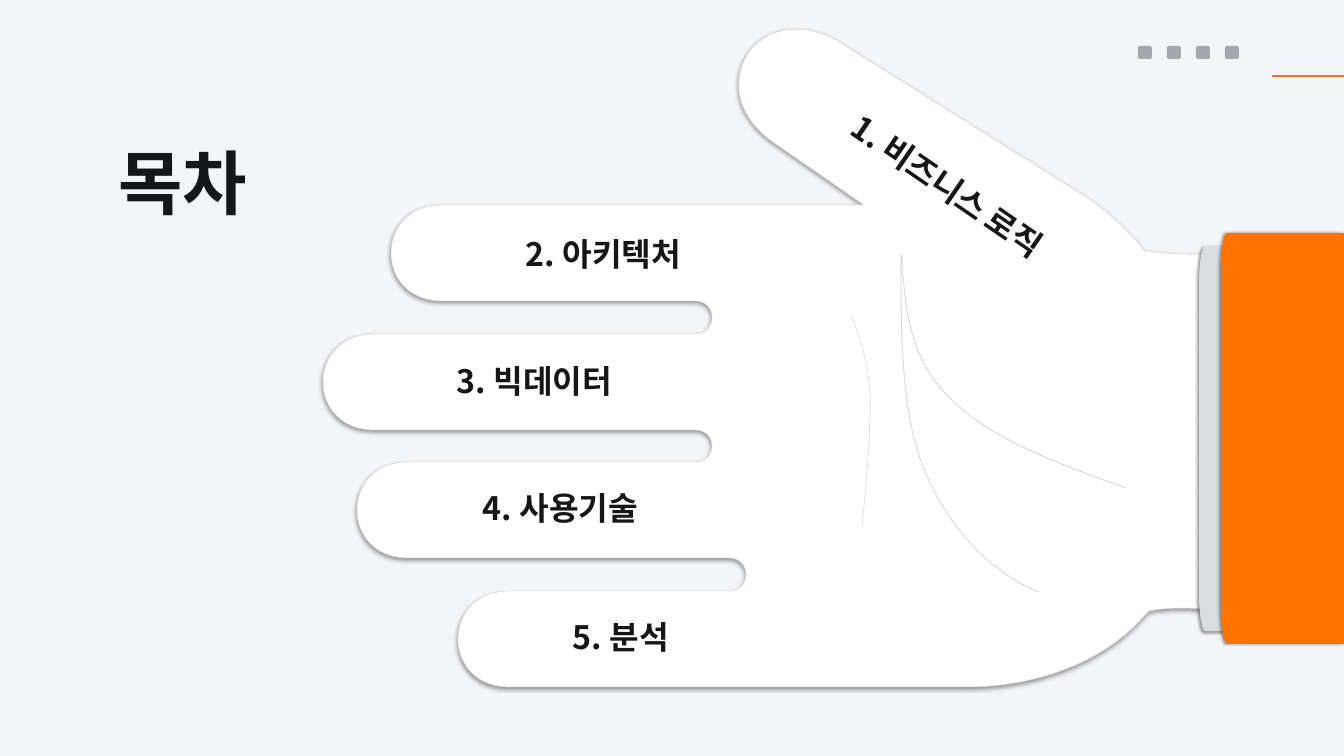
from lxml import etree
from pptx import Presentation
from pptx.dml.color import RGBColor
from pptx.enum.shapes import MSO_CONNECTOR, MSO_SHAPE
from pptx.enum.text import MSO_AUTO_SIZE, PP_ALIGN
from pptx.oxml.ns import qn
from pptx.util import Emu, Pt

STRAIGHT = MSO_CONNECTOR.STRAIGHT
ROUNDED = MSO_SHAPE.ROUNDED_RECTANGLE
GROW = MSO_AUTO_SIZE.SHAPE_TO_FIT_TEXT
NO_GROW = MSO_AUTO_SIZE.NONE
JUSTIFY = PP_ALIGN.JUSTIFY
LEFT = PP_ALIGN.LEFT

BACKGROUND = RGBColor(0xF4, 0xF5, 0xF7)
WHITE = RGBColor(0xFF, 0xFF, 0xFF)
INK = RGBColor(0x15, 0x16, 0x18)
GREY = RGBColor(0xA6, 0xA7, 0xAC)
CREASE = RGBColor(0xDC, 0xDD, 0xE0)
CUFF = RGBColor(0xDB, 0xDC, 0xDE)
SLEEVE = RGBColor(0xFE, 0x74, 0x02)
ACCENT = RGBColor(0xF5, 0x6C, 0x2E)

FONT = "Noto Sans CJK KR"
SCALE = 914400 / 50.4
WIDTH, HEIGHT = 1344, 756
CURVE_STEPS = 24

FINGER_TOPS = (205, 334, 462, 591)
FINGER_STARTS = (442, 374, 408, 509)
GAP_ENDS = (695, 695, 729)
FINGER_HEIGHT = 96
FINGER_TIP = 51
GAP_TIP = 17

THUMB = [
    (1145, 251),
    (1125, 227, 1102, 206, 1075, 190),
    (836, 40),
    (800, 20, 758, 28, 743, 63),
    (732, 92, 743, 119, 770, 140),
    (864, 205),
]
PALM = [
    (966, 687),
    (1035, 687, 1104, 663, 1145, 615),
    (1149, 611),
    (1161, 609),
    (1224, 603, 1282, 628, 1344, 628),
    (1344, 241),
    (1276, 241, 1228, 261, 1153, 252),
]
CREASES = [
    ([(902, 255), (904, 301, 908, 355, 946, 394),
      (983, 432, 1027, 453, 1126, 488)], 1.5),
    ([(901, 255), (901, 337, 901, 412, 924, 469),
      (946, 525, 990, 573, 1039, 592)], 1.5),
    ([(851, 316), (860, 337, 868, 361, 870, 394),
      (872, 429, 862, 527, 862, 527)], 1),
]
LABELS = [
    ("2. 아키텍처", 521, 232, 319, 0),
    ("3. 빅데이터", 452, 359, 290, 0),
    ("4. 사용기술", 478, 486, 338, 0),
    ("5. 분석", 568, 615, 266, 0),
    ("1. 비즈니스 로직", 824, 189, 319, 34.5),
]


def px(n):
    return Emu(round(n * SCALE))


def bulge(x, y1, y2, depth):
    reach = x + depth * 4 / 3
    return [(x, y1), (reach, y1, reach, y2, x, y2)]


def flatten(steps):
    points = [steps[0]]
    for step in steps[1:]:
        if len(step) == 2:
            points.append(step)
            continue
        x0, y0 = points[-1]
        x1, y1, x2, y2, x3, y3 = step
        for i in range(1, CURVE_STEPS + 1):
            t = i / CURVE_STEPS
            a, b, c, d = (1 - t) ** 3, 3 * t * (1 - t) ** 2, 3 * t * t * (1 - t), t ** 3
            points.append((a * x0 + b * x1 + c * x2 + d * x3,
                           a * y0 + b * y1 + c * y2 + d * y3))
    return points


def add_outline(slide, steps, fill=None, line=None, width=0):
    points = [(px(x), px(y)) for x, y in flatten(steps)]
    builder = slide.shapes.build_freeform(*points[0])
    builder.add_line_segments(points[1:], close=fill is not None)
    sp = builder.convert_to_shape()
    sp.shadow.inherit = False
    if fill is None:
        sp.fill.background()
    else:
        sp.fill.solid()
        sp.fill.fore_color.rgb = fill
    if line is None:
        sp.line.fill.background()
    else:
        sp.line.color.rgb = line
        sp.line.width = Pt(width)
    return sp


def add_shadow(sp, angle):
    effects = sp._element.spPr.find(qn("a:effectLst"))
    shadow = etree.SubElement(effects, qn("a:outerShdw"), blurRad=str(Pt(4)),
                              dist=str(Pt(3)), dir=str(angle * 60000),
                              algn="ctr", rotWithShape="0")
    color = etree.SubElement(shadow, qn("a:srgbClr"), val="000000")
    etree.SubElement(color, qn("a:alpha"), val="40000")


def add_hand(slide):
    steps = list(THUMB)
    for i, (top, start) in enumerate(zip(FINGER_TOPS, FINGER_STARTS)):
        bottom = top + FINGER_HEIGHT
        steps += bulge(start, top, bottom, -FINGER_TIP)
        if i < len(GAP_ENDS):
            steps += bulge(GAP_ENDS[i], bottom, FINGER_TOPS[i + 1], GAP_TIP)
    add_shadow(add_outline(slide, steps + PALM, WHITE, CREASE), 90)


def add_cuff(slide, x, y, w, h, color, angle):
    rx, ry = 6, 36
    right, bottom = x + w, y + h
    steps = [
        (x + rx, y), (right, y), (right, bottom), (x + rx, bottom),
        (x + rx / 2, bottom, x, bottom - ry / 2, x, bottom - ry),
        (x, y + ry),
        (x, y + ry / 2, x + rx / 2, y, x + rx, y),
    ]
    add_shadow(add_outline(slide, steps, color), angle)


def add_text(slide, text, x, y, w, h, size, align, auto_size):
    sp = slide.shapes.add_textbox(px(x), px(y), px(w), px(h))
    tf = sp.text_frame
    tf.word_wrap = True
    tf.auto_size = auto_size
    tf.text = text
    p = tf.paragraphs[0]
    p.alignment = align
    font = p.runs[0].font
    font.size = Pt(size)
    font.bold = True
    font.name = FONT
    font.color.rgb = INK
    etree.SubElement(p.runs[0]._r.rPr, qn("a:ea"), typeface=FONT)
    return sp


def add_title(slide, text):
    tf = add_text(slide, text, 116, 154, 501, 175, 100, LEFT, NO_GROW).text_frame
    tf.margin_left = tf.margin_right = tf.margin_top = tf.margin_bottom = px(2)
    tf.paragraphs[0].line_spacing = 0.8


def add_header_marks(slide):
    for i in range(4):
        sp = slide.shapes.add_shape(ROUNDED, px(1138 + 29 * i), px(46), px(14), px(13))
        sp.shadow.inherit = False
        sp.fill.solid()
        sp.fill.fore_color.rgb = GREY
        sp.line.fill.background()
    rule = slide.shapes.add_connector(STRAIGHT, px(1272), px(76), px(WIDTH), px(76))
    rule.line.color.rgb = ACCENT
    rule.line.width = Pt(4)
    etree.SubElement(rule._element.spPr, qn("a:effectLst"))


def main():
    prs = Presentation()
    prs.slide_width, prs.slide_height = px(WIDTH), px(HEIGHT)
    slide = prs.slides.add_slide(prs.slide_layouts[6])
    slide.background.fill.solid()
    slide.background.fill.fore_color.rgb = BACKGROUND
    add_header_marks(slide)
    add_hand(slide)
    add_cuff(slide, 1199, 246, 123, 385, CUFF, 135)
    add_cuff(slide, 1221, 233, 123, 411, SLEEVE, 180)
    for steps, width in CREASES:
        add_outline(slide, steps, line=CREASE, width=width)
    add_title(slide, "목차")
    for text, x, y, w, angle in LABELS:
        sp = add_text(slide, text, x, y, w, 44, 46, JUSTIFY, GROW)
        sp.rotation = angle
    prs.save("out.pptx")


if __name__ == "__main__":
    main()
